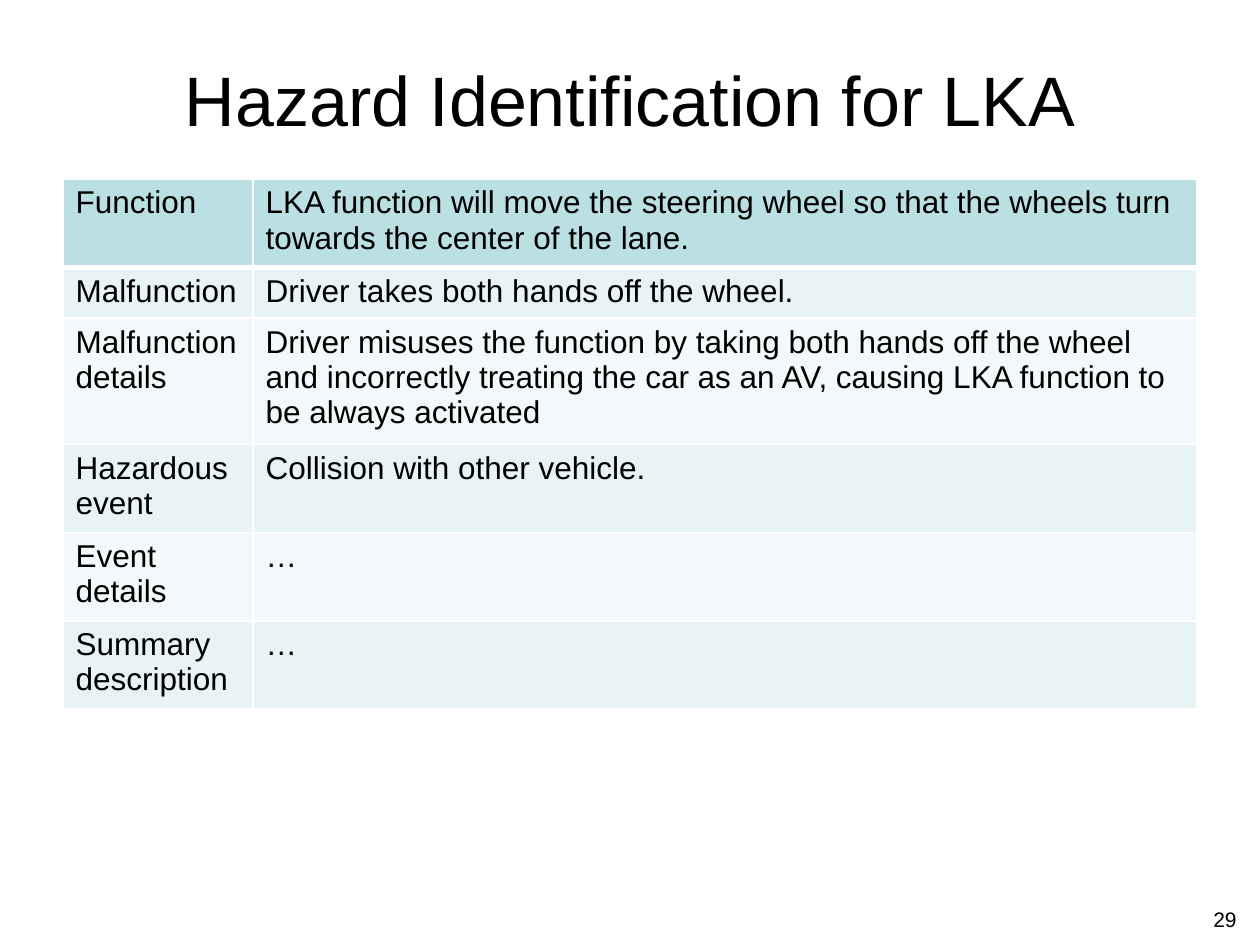
"""Build the LKA hazard identification slide."""
from pptx import Presentation
from pptx.dml.color import RGBColor
from pptx.enum.text import MSO_ANCHOR as Anchor, PP_ALIGN as Align
from pptx.oxml import parse_xml
from pptx.oxml.ns import nsdecls
from pptx.util import Pt

PX = 914400 // 126
FONT = "Arial"
COLORS = {
    "text": "000000",
    "border": "FFFFFF",
    "header": "BBE0E3",
    "odd": "E7F3F4",
    "even": "F3F9FA",
}

TITLE = "Hazard Identification for LKA"
PAGE_NUMBER = "29"
HAZARD_ROWS = [
    ("Function", "LKA function will move the steering wheel so that the wheels turn "
                 "towards the center of the lane."),
    ("Malfunction", "Driver takes both hands off the wheel."),
    ("Malfunction details", "Driver misuses the function by taking both hands off the wheel "
                            "and incorrectly treating the car as an AV, causing LKA function "
                            "to be always activated"),
    ("Hazardous event", "Collision with other vehicle."),
    ("Event details", "…"),
    ("Summary description", "…"),
]
COLUMN_WIDTHS = (190, 944)
ROW_HEIGHTS = (83, 51, 118, 83, 83, 83)
TABLE_LEFT, TABLE_TOP = 63, 179


def write(frame, text, size, align=Align.LEFT):
    frame.word_wrap = True
    paragraph = frame.paragraphs[0]
    paragraph.text = text
    paragraph.alignment = align
    paragraph.font.name = FONT
    paragraph.font.size = Pt(size)
    paragraph.font.color.rgb = RGBColor.from_string(COLORS["text"])


def add_text(slide, box, text, size, align, anchor):
    shape = slide.shapes.add_textbox(*(length * PX for length in box))
    shape.text_frame.vertical_anchor = anchor
    write(shape.text_frame, text, size, align)


def style_cell(cell, row):
    fill_name = "header" if row == 0 else ("even", "odd")[row % 2]
    widths = {"L": 1, "R": 1, "T": 3 if row == 1 else 1, "B": 3 if row == 0 else 1}
    properties = cell._tc.get_or_add_tcPr()
    for side, width in widths.items():
        properties.append(parse_xml(
            f'<a:ln{side} {nsdecls("a")} w="{Pt(width)}"><a:solidFill>'
            f'<a:srgbClr val="{COLORS["border"]}"/></a:solidFill></a:ln{side}>'))
    cell.fill.solid()
    cell.fill.fore_color.rgb = RGBColor.from_string(COLORS[fill_name])


def add_hazard_table(slide):
    table = slide.shapes.add_table(
        len(HAZARD_ROWS), len(COLUMN_WIDTHS), TABLE_LEFT * PX, TABLE_TOP * PX,
        sum(COLUMN_WIDTHS) * PX, sum(ROW_HEIGHTS) * PX).table
    table.horz_banding = False
    table.first_row = False
    for column, width in zip(table.columns, COLUMN_WIDTHS):
        column.width = width * PX
    for row, (texts, height) in enumerate(zip(HAZARD_ROWS, ROW_HEIGHTS)):
        table.rows[row].height = height * PX
        for column, text in enumerate(texts):
            cell = table.cell(row, column)
            style_cell(cell, row)
            write(cell.text_frame, text, 18)


def main():
    presentation = Presentation()
    presentation.slide_width = 1260 * PX
    presentation.slide_height = 945 * PX
    slide = presentation.slides.add_slide(presentation.slide_layouts[6])
    add_text(slide, (63, 38, 1134, 120), TITLE, 40, Align.CENTER, Anchor.MIDDLE)
    add_hazard_table(slide)
    add_text(slide, (955, 900, 294, 34), PAGE_NUMBER, 12, Align.RIGHT, Anchor.TOP)
    presentation.save("out.pptx")


if __name__ == "__main__":
    main()
